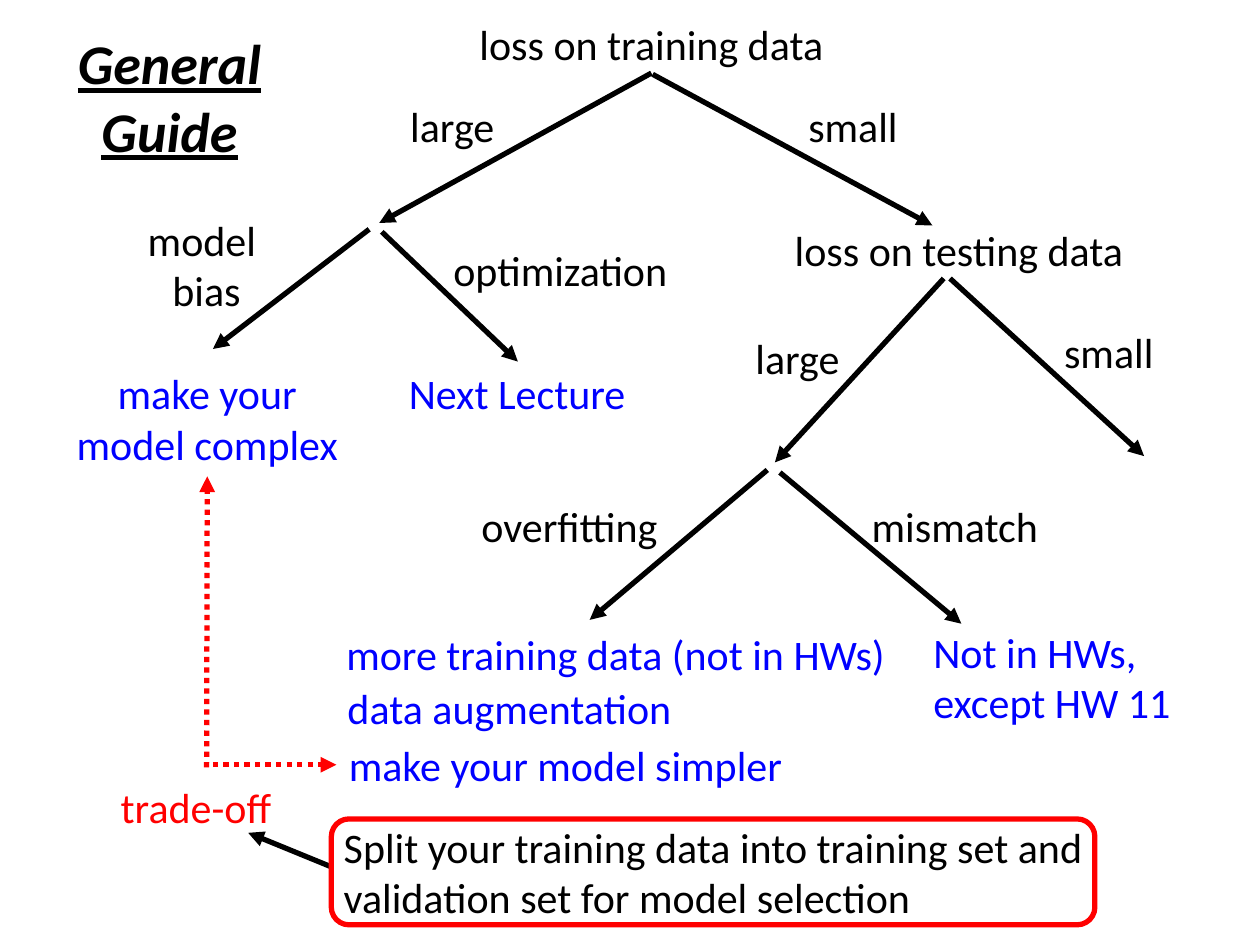
"""Build the general guide slide: a decision tree for training and testing loss."""
from lxml import etree
from pptx import Presentation
from pptx import util as u
from pptx.dml.color import RGBColor
from pptx.enum import dml, shapes, text
from pptx.oxml.ns import qn

COLORS = {"black": "000000", "blue": "0000FF", "red": "FF0000"}
FONT = "Calibri"
BODY_SIZE, TITLE_SIZE = 24, 32
LINE_WIDTH = 3
HEIGHTS = {1: 0.5, 2: 0.91}
LEFT, CENTER = text.PP_ALIGN.LEFT, text.PP_ALIGN.CENTER

TITLE = ("General Guide", 0.4, 0.18, 1.89, 1.18)

# wording, left, top, width, lines, alignment, color
LABELS = [
    ("loss on training data", 3.07, 0.1, 4.2, 1, CENTER, "black"),
    ("large", 2.74, 0.75, 1.7, 1, CENTER, "black"),
    ("small", 5.92, 0.75, 1.7, 1, CENTER, "black"),
    ("model \nbias", 0.79, 1.65, 1.7, 2, CENTER, "black"),
    ("optimization", 3.5, 1.89, 2.04, 1, LEFT, "black"),
    ("make your model complex", 0.43, 2.87, 2.43, 2, CENTER, "blue"),
    ("Next Lecture", 2.89, 2.87, 2.43, 1, CENTER, "blue"),
    ("loss on testing data", 5.92, 1.73, 3.38, 1, CENTER, "black"),
    ("overfitting", 3.5, 3.92, 2.04, 1, CENTER, "black"),
    ("mismatch", 6.82, 3.92, 2.04, 1, LEFT, "black"),
    ("small", 7.95, 2.54, 1.7, 1, CENTER, "black"),
    ("large", 5.48, 2.59, 1.7, 1, CENTER, "black"),
    ("Not in HWs, except HW 11", 7.31, 4.92, 2.57, 2, LEFT, "blue"),
    ("make your model simpler", 2.67, 5.82, 3.96, 1, LEFT, "blue"),
    ("more training data (not in HWs)", 2.65, 4.94, 4.75, 1, LEFT, "blue"),
    ("data augmentation", 2.66, 5.37, 3.73, 1, LEFT, "blue"),
    ("trade-off", 0.86, 6.15, 1.66, 1, LEFT, "red"),
    ("Split your training data into training set and validation set "
     "for model selection", 2.63, 6.47, 7.03, 2, LEFT, "black"),
]

BRANCHES = [
    ((5.17, 0.58), (3.01, 1.77)),
    ((5.18, 0.59), (7.4, 1.79)),
    ((2.93, 1.82), (1.69, 2.77)),
    ((3.03, 1.84), (4.11, 2.87)),
    ((7.49, 2.21), (6.15, 3.67)),
    ((7.54, 2.21), (9.08, 3.62)),
    ((6.09, 3.73), (4.68, 4.92)),
    ((6.19, 3.75), (7.63, 4.95)),
    ((2.63, 6.88), (1.97, 6.61)),
]

# start, end, label joined, side joined
TRADE_OFF_ARROWS = [
    ((1.64, 6.09), (1.64, 3.78), "make your model complex", 2),
    ((1.69, 6.07), (2.67, 6.07), "make your model simpler", 1),
]

SELECTION_FRAME = (2.63, 6.5, 6.06, 0.84)


def color_of(name):
    return RGBColor.from_string(COLORS[name])


def add_text(slide, wording, box, alignment, color, size=BODY_SIZE):
    shape = slide.shapes.add_textbox(*map(u.Inches, box))
    frame = shape.text_frame
    frame.word_wrap = True
    frame.auto_size = text.MSO_AUTO_SIZE.SHAPE_TO_FIT_TEXT
    frame.text = wording
    for paragraph in frame.paragraphs:
        paragraph.alignment = alignment
        for run in paragraph.runs:
            run.font.name = FONT
            run.font.size = u.Pt(size)
            run.font.color.rgb = color_of(color)
    return shape


def style_line(line, color):
    line.color.rgb = color_of(color)
    line.width = u.Pt(LINE_WIDTH)


def add_arrow(slide, start, end, color):
    connector = slide.shapes.add_connector(
        shapes.MSO_CONNECTOR.STRAIGHT, *map(u.Inches, start + end))
    style_line(connector.line, color)
    properties = connector._element.spPr
    etree.SubElement(properties.find(qn("a:ln")), qn("a:tailEnd"), type="triangle")
    etree.SubElement(properties, qn("a:effectLst"))
    return connector


def main():
    presentation = Presentation()
    presentation.slide_width, presentation.slide_height = u.Inches(10), u.Inches(7.5)
    slide = presentation.slides.add_slide(presentation.slide_layouts[6])

    labels = {}
    for wording, left, top, width, lines, alignment, color in LABELS:
        box = (left, top, width, HEIGHTS[lines])
        labels[wording] = add_text(slide, wording, box, alignment, color)

    title = add_text(slide, TITLE[0], TITLE[1:], CENTER, "black", TITLE_SIZE)
    font = title.text_frame.paragraphs[0].runs[0].font
    font.bold = font.italic = font.underline = True

    for start, end in BRANCHES:
        add_arrow(slide, start, end, "black")
    for start, end, target, side in TRADE_OFF_ARROWS:
        connector = add_arrow(slide, start, end, "red")
        connector.line.dash_style = dml.MSO_LINE.ROUND_DOT
        connector.end_connect(labels[target], side)

    frame = slide.shapes.add_shape(
        shapes.MSO_SHAPE.ROUNDED_RECTANGLE, *map(u.Inches, SELECTION_FRAME))
    frame.shadow.inherit = False
    frame.fill.background()
    style_line(frame.line, "red")

    presentation.save("out.pptx")


if __name__ == "__main__":
    main()
